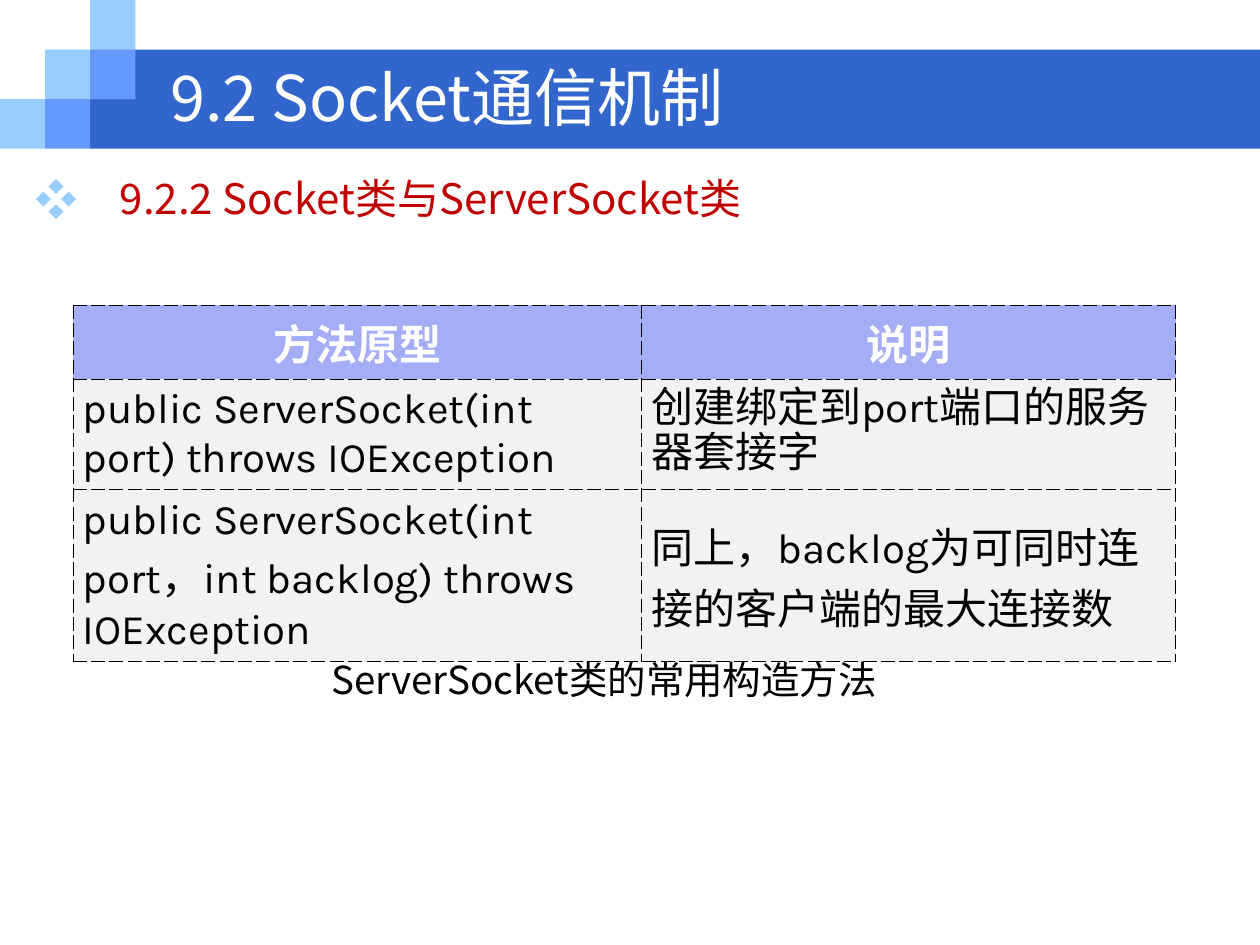
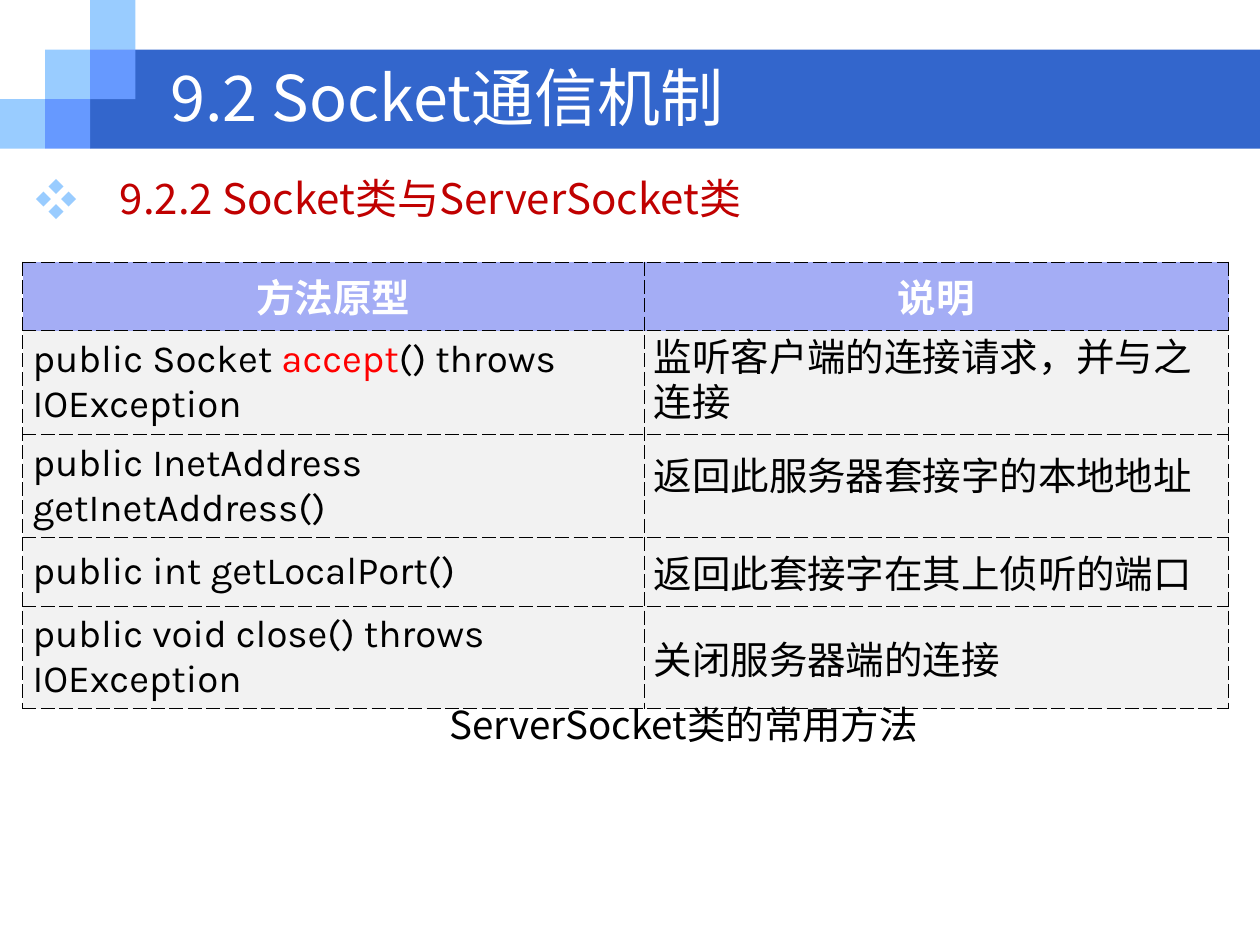
from lxml.etree import SubElement
from pptx import Presentation
from pptx.dml.color import RGBColor
from pptx.enum.shapes import MSO_SHAPE
from pptx.enum.text import MSO_ANCHOR, MSO_AUTO_SIZE, PP_ALIGN
from pptx.oxml import parse_xml
from pptx.oxml.ns import nsdecls, qn
from pptx.util import Cm, Pt

# Shared look
CJK, LATIN = "Noto Sans CJK SC", "Karla"
WHITE, BLACK, RED, DARK_RED = "FFFFFF", "000000", "FF0000", "C00000"
BLUE, SKY, MID_BLUE = "3366CC", "99CCFF", "6699FF"
HEAD_FILL, BODY_FILL = "A4ADF5", "F2F2F2"

TITLE = "9.2 Socket通信机制"
SECTION = "9.2.2 Socket类与ServerSocket类"
HEADINGS = ("方法原型", "说明")
TITLE_BOX = (3.18, 1.27, 20.52, 1.35)
BODY_BOX = (0.46, 2.84, 23.27, 14.81)

# Rows hold: method, description, line spacing of the description, row height
CONSTRUCTORS = dict(
    at=(1.47, 6.15), cols=(11.46, 10.77), size=24, head_height=1.02,
    head_anchor=MSO_ANCHOR.MIDDLE,
    rows=[
        ("public ServerSocket(int port) throws IOException",
         "创建绑定到port端口的服务器套接字", Pt(26), 2.03),
        ("public ServerSocket(int port，int backlog) throws IOException",
         "同上，backlog为可同时连接的客户端的最大连接数", None, 3.05),
    ])
METHODS = dict(
    at=(0.46, 5.28), cols=(12.52, 11.79), size=22, head_height=0.93,
    head_anchor=MSO_ANCHOR.TOP, accent="accept",
    rows=[
        ("public Socket accept() throws IOException",
         "监听客户端的连接请求，并与之连接", Pt(26), 1.86),
        ("public InetAddress getInetAddress()",
         "返回此服务器套接字的本地地址", Pt(18), 1.86),
        ("public int getLocalPort()", "返回此套接字在其上侦听的端口", None, 0.93),
        ("public void close() throws IOException", "关闭服务器端的连接", None, 1.86),
    ])
SLIDES = [
    (CONSTRUCTORS, "ServerSocket类的常用构造方法", (6.43, 13.11, 12.47, 1.19)),
    (METHODS, "ServerSocket类的常用方法", (8.81, 14.0, 10.92, 1.19)),
]


def rgb(value):
    return RGBColor.from_string(value)


def set_all(target, values):
    for name, value in values.items():
        setattr(target, name, value)


def add_run(p, text, size, color, font=CJK, bold=False):
    r = p.add_run()
    r.text = text
    set_all(r.font, dict(size=Pt(size), name=font, bold=bold))
    r.font.color.rgb = rgb(color)
    SubElement(r._r.get_or_add_rPr(), qn("a:ea"), typeface=CJK)


def place(sp, box):
    set_all(sp, dict(zip(("left", "top", "width", "height"), map(Cm, box))))


# Band and staircase of squares, kept on the layout behind the placeholders
def add_band(s, layout, page_width):
    w, h = 0.91, 1.0
    parts = [((2 * w, h, page_width - 2 * w, 2 * h), BLUE)]
    squares = [(0, 2, SKY), (1, 1, SKY), (2, 0, SKY), (2, 1, MID_BLUE), (1, 2, MID_BLUE)]
    parts += [((col * w, row * h, w, h), color) for col, row, color in squares]
    for index, (box, color) in enumerate(parts):
        sp = s.shapes.add_shape(MSO_SHAPE.RECTANGLE, *map(Cm, box))
        sp.shadow.inherit = False
        sp.fill.solid()
        sp.fill.fore_color.rgb = rgb(color)
        sp.line.fill.background()
        layout.shapes.element.insert(2 + index, sp.element)


def add_title(s, box):
    place(s.shapes.title, box)
    tf = s.shapes.title.text_frame
    set_all(tf, dict(vertical_anchor=MSO_ANCHOR.MIDDLE, auto_size=MSO_AUTO_SIZE.NONE))
    p = tf.paragraphs[0]
    p.alignment = PP_ALIGN.LEFT
    add_run(p, TITLE, 36, WHITE)


def add_section(s, box):
    body = s.placeholders[1]
    place(body, box)
    body.text_frame.auto_size = MSO_AUTO_SIZE.NONE
    p = body.text_frame.paragraphs[0]
    pPr = p._p.get_or_add_pPr()
    pPr.set("marL", str(Cm(1.7)))
    pPr.set("indent", str(-Cm(1.7)))
    SubElement(SubElement(pPr, qn("a:buClr")), qn("a:srgbClr"), val=SKY)
    SubElement(pPr, qn("a:buFont"), typeface=CJK)
    SubElement(pPr, qn("a:buChar"), char="❖")
    set_all(p, dict(line_spacing=1.5, space_before=Pt(0)))
    add_run(p, SECTION, 24, DARK_RED)


def format_cell(cell, fill, anchor):
    tcPr = cell._tc.get_or_add_tcPr()
    for side in ("lnL", "lnR", "lnT", "lnB"):
        tcPr.append(parse_xml(
            f'<a:{side} {nsdecls("a")} w="{Pt(0.45)}"><a:solidFill>'
            f'<a:srgbClr val="{BLACK}"/></a:solidFill><a:prstDash val="dash"/></a:{side}>'))
    cell.fill.solid()
    cell.fill.fore_color.rgb = rgb(fill)
    set_all(cell, dict(vertical_anchor=anchor, margin_left=Cm(0.2), margin_right=Cm(0.2),
                       margin_top=Cm(0.13), margin_bottom=Cm(0.13)))
    return cell.text_frame.paragraphs[0]


def add_method_table(s, at, cols, size, head_height, head_anchor, rows, accent=None):
    heights = [head_height] + [row[-1] for row in rows]
    frame = s.shapes.add_table(len(heights), len(cols),
                               *map(Cm, (*at, sum(cols), sum(heights))))
    table = frame.table
    table.horz_banding = False
    for column, width in zip(table.columns, cols):
        column.width = Cm(width)
    for row, height in zip(table.rows, heights):
        row.height = Cm(height)

    # Header row
    for col, heading in enumerate(HEADINGS):
        p = format_cell(table.cell(0, col), HEAD_FILL, head_anchor)
        p.alignment = PP_ALIGN.CENTER
        add_run(p, heading, size, WHITE, bold=True)

    # Method rows
    for index, (method, description, spacing, _) in enumerate(rows, 1):
        p = format_cell(table.cell(index, 0), BODY_FILL, MSO_ANCHOR.MIDDLE)
        pieces = method.partition(accent) if accent else (method,)
        for text in filter(None, pieces):
            add_run(p, text, size, RED if text == accent else BLACK, LATIN)
        p = format_cell(table.cell(index, 1), BODY_FILL, MSO_ANCHOR.MIDDLE)
        p.line_spacing = spacing
        add_run(p, description, size, BLACK, LATIN)


def add_caption(s, text, box):
    tf = s.shapes.add_textbox(*map(Cm, box)).text_frame
    tf.word_wrap = True
    add_run(tf.paragraphs[0], text, 22, BLACK)


def main():
    prs = Presentation()
    set_all(prs, dict(slide_width=Cm(25.4), slide_height=Cm(19.05)))
    layout = prs.slide_layouts[1]
    for number, (table, caption, caption_box) in enumerate(SLIDES):
        s = prs.slides.add_slide(layout)
        if number == 0:
            add_band(s, layout, 25.4)
        add_title(s, TITLE_BOX)
        add_section(s, BODY_BOX)
        add_method_table(s, **table)
        add_caption(s, caption, caption_box)
    prs.save("out.pptx")


if __name__ == "__main__":
    main()
